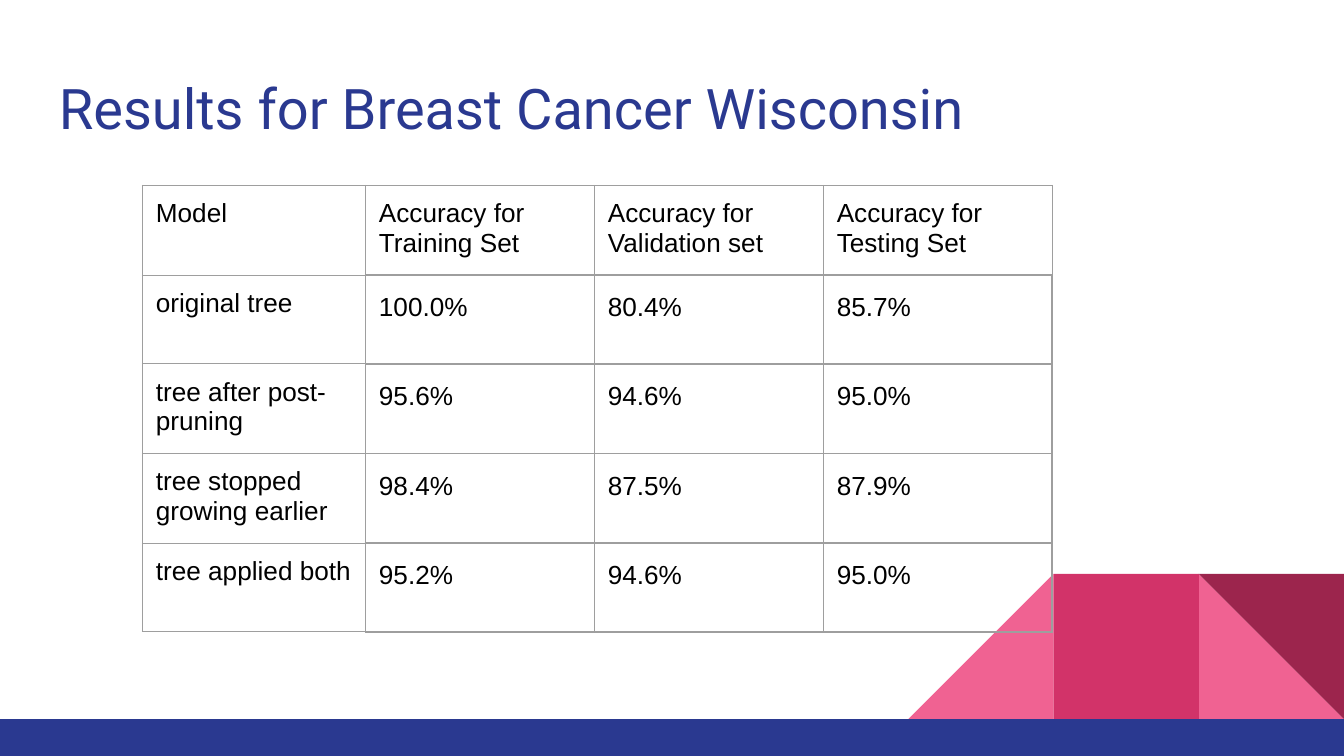
from dataclasses import dataclass

from lxml import etree
from pptx import Presentation
from pptx.dml.color import RGBColor
from pptx.enum.shapes import MSO_SHAPE
from pptx.oxml.ns import qn
from pptx.util import Inches, Pt

RECT = MSO_SHAPE.RECTANGLE
TRIANGLE = MSO_SHAPE.RIGHT_TRIANGLE


@dataclass(frozen=True)
class Theme:
    navy: str = "2A3990"
    pink: str = "F06292"
    rose: str = "D23369"
    wine: str = "9C254D"
    text: str = "000000"
    grid: str = "9E9E9E"
    title_font: str = "Roboto"
    body_font: str = "Arial"
    title_size: int = 30
    body_size: int = 14
    inset: float = 0.1
    thin: float = 0.75
    thick: float = 1


THEME = Theme()

RESULTS = [
    ["Model", "Accuracy for Training Set", "Accuracy for Validation set",
     "Accuracy for Testing Set"],
    ["original tree", "100.0%", "80.4%", "85.7%"],
    ["tree after post-pruning", "95.6%", "94.6%", "95.0%"],
    ["tree stopped growing earlier", "98.4%", "87.5%", "87.9%"],
    ["tree applied both", "95.2%", "94.6%", "95.0%"],
]


def write_text(tf, text, size=THEME.body_size, font=THEME.body_font,
               color=THEME.text, spacing=1.0):
    tf.word_wrap = True
    p = tf.paragraphs[0]
    p.line_spacing = spacing
    r = p.add_run()
    r.text = text
    r.font.size = Pt(size)
    r.font.name = font
    r.font.color.rgb = RGBColor.from_string(color)


def set_insets(box):
    """Give a text frame or a table cell the same margin on all sides."""
    box.margin_left = box.margin_right = Inches(THEME.inset)
    box.margin_top = box.margin_bottom = Inches(THEME.inset)


def add_block(slide, kind, left, top, width, height, color):
    sp = slide.shapes.add_shape(kind, Inches(left), Inches(top),
                                Inches(width), Inches(height))
    sp.shadow.inherit = False
    sp.fill.solid()
    sp.fill.fore_color.rgb = RGBColor.from_string(color)
    sp.line.fill.background()
    return sp


def add_decoration(slide, left, top, side):
    """Three squares in a row, built from triangles and a centre square."""
    middle, right = left + side, left + 2 * side
    add_block(slide, TRIANGLE, right, top, side, side, THEME.pink)
    slope = add_block(slide, TRIANGLE, left, top, side, side, THEME.pink)
    slope._element.spPr.find(qn("a:xfrm")).set("flipH", "1")
    add_block(slide, RECT, middle, top, side, side, THEME.rose)
    corner = add_block(slide, TRIANGLE, right, top, side, side, THEME.wine)
    corner.rotation = 180


def add_title(slide, text, left, top, width, height):
    tb = slide.shapes.add_textbox(Inches(left), Inches(top),
                                  Inches(width), Inches(height))
    set_insets(tb.text_frame)
    write_text(tb.text_frame, text, size=THEME.title_size,
               font=THEME.title_font, color=THEME.navy)


def set_borders(cell, **widths):
    """Draw the L, R, T and B borders, which must precede the cell's fill."""
    tc_pr = cell._tc.get_or_add_tcPr()
    for i, side in enumerate("LRTB"):
        ln = etree.Element(qn(f"a:ln{side}"), w=str(Pt(widths[side])))
        fill = etree.SubElement(ln, qn("a:solidFill"))
        etree.SubElement(fill, qn("a:srgbClr"), val=THEME.grid)
        tc_pr.insert(i, ln)


def add_results_table(slide, rows, left, top, width, height,
                      label_width, header_height, row_height):
    """Value columns share the width; the header grows to fill the height."""
    frame = slide.shapes.add_table(
        len(rows), len(rows[0]), Inches(left), Inches(top),
        Inches(width), Inches(height))
    table = frame.table
    table.first_row = table.horz_banding = False
    value_width = (width - label_width) / (len(rows[0]) - 1)
    for j, column in enumerate(table.columns):
        column.width = Inches(value_width if j else label_width)
    for i, row in enumerate(table.rows):
        row.height = Inches(row_height if i else header_height)
    frame.height = Inches(height)

    thin, thick = THEME.thin, THEME.thick
    for i, row in enumerate(rows):
        for j, text in enumerate(row):
            cell = table.cell(i, j)
            is_header, is_label = i == 0, j == 0
            is_value = not (is_header or is_label)
            set_insets(cell)
            cell.fill.background()
            write_text(cell.text_frame, text, spacing=1.15 if is_value else 1.0)
            edge = thick if is_value else thin
            set_borders(cell, L=edge, T=edge,
                        R=thin if is_header else thick,
                        B=thin if is_label else thick)


def add_results_slide(prs):
    slide = prs.slides.add_slide(prs.slide_layouts[6])
    add_decoration(slide, 6.76, 4.27, 1.08)
    add_block(slide, RECT, 0, 5.35, 10, 0.28, THEME.navy)
    add_title(slide, "Results for Breast Cancer Wisconsin",
              0.34, 0.45, 9.32, 0.66)
    add_results_table(slide, RESULTS, 1.06, 1.38, 6.77, 3.28,
                      label_width=1.66, header_height=0.53, row_height=0.66)


def main():
    prs = Presentation()
    prs.slide_width = Inches(10)
    prs.slide_height = prs.slide_width * 9 // 16
    add_results_slide(prs)
    prs.save("out.pptx")


if __name__ == "__main__":
    main()
